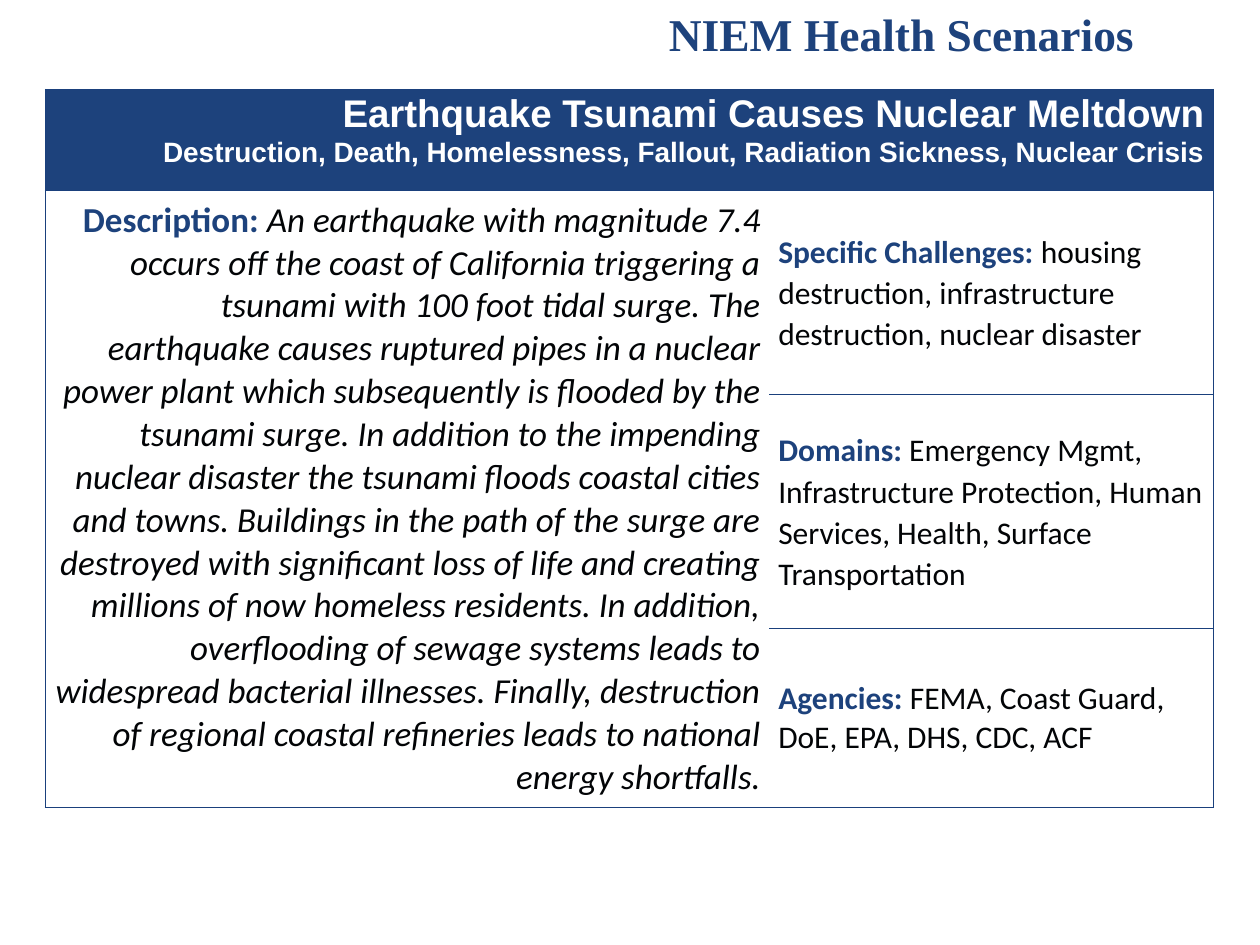
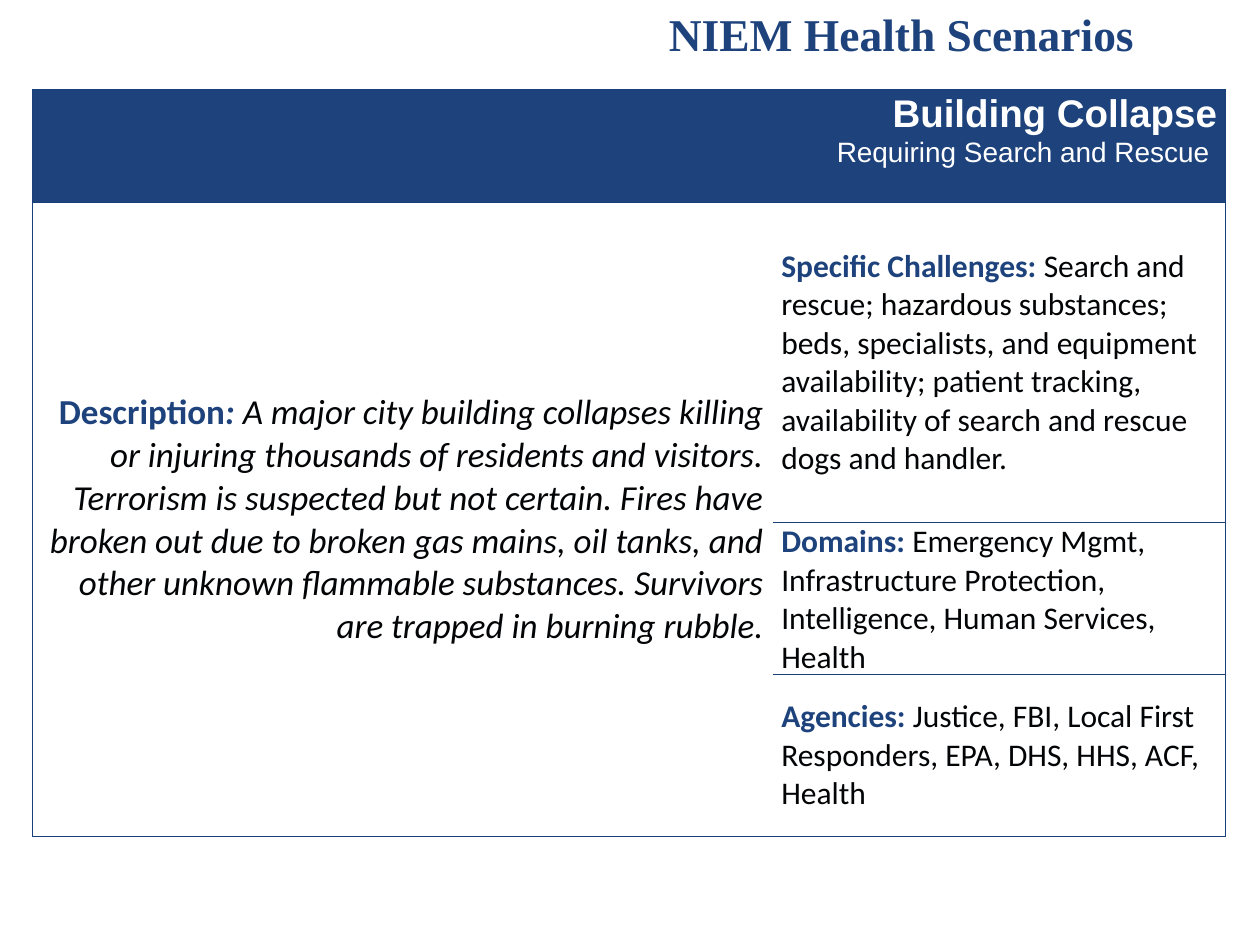
from dataclasses import dataclass
from typing import Any

from lxml import etree
from pptx import Presentation
from pptx.dml.color import RGBColor
from pptx.enum.text import MSO_ANCHOR, MSO_AUTO_SIZE, PP_ALIGN
from pptx.oxml.ns import qn
from pptx.util import Inches, Pt

LEFT, RIGHT = PP_ALIGN.LEFT, PP_ALIGN.RIGHT
TOP, MIDDLE = MSO_ANCHOR.TOP, MSO_ANCHOR.MIDDLE
FIT_SHAPE = MSO_AUTO_SIZE.SHAPE_TO_FIT_TEXT

GRID_COLUMNS, GRID_ROWS = 100, 75
UNIT = Inches(10) // GRID_COLUMNS
DESCRIPTION_SHARE = 0.62
LOOSE = 1.07


@dataclass(frozen=True)
class Theme:
    navy: str = "1D427C"
    rule: str = "1A407C"
    ink: str = "020406"
    white: str = "FFFFFF"
    title_font: str = "Times New Roman"
    header_font: str = "Arial"
    body_font: str = "Calibri"
    title_size: int = 26
    header_size: int = 22
    subheader_size: int = 16
    description_size: int = 20
    detail_size: int = 18
    rule_width: float = 0.75


THEME = Theme()


@dataclass(frozen=True)
class Span:
    text: str
    font: str
    size: int
    color: str
    bold: bool = False
    italic: bool = False


@dataclass(frozen=True)
class Detail:
    label: str
    text: str
    spacing: float = 1.0


@dataclass(frozen=True)
class Scenario:
    """Left, width and rows are counted in grid units."""
    left: float
    width: float
    rows: tuple[float, ...]
    name: str
    summary: str
    summary_bold: bool
    label: tuple[str, str]
    description: str
    details: tuple[Detail, ...]


SCENARIOS = (
    Scenario(
        3.6, 92.7, (8, 16.2, 18.6, 14.2),
        "Earthquake Tsunami Causes Nuclear Meltdown",
        "Destruction, Death, Homelessness, Fallout, Radiation Sickness, Nuclear Crisis",
        True,
        ("Description: ", ""),
        "An earthquake with magnitude 7.4 occurs off the coast of California triggering "
        "a tsunami with 100 foot tidal surge. The earthquake causes ruptured pipes in a "
        "nuclear power plant which subsequently is flooded by the tsunami surge. In "
        "addition to the impending nuclear disaster the tsunami floods coastal cities "
        "and towns. Buildings in the path of the surge are destroyed with significant "
        "loss of life and creating millions of now homeless residents. In addition, "
        "overflooding of sewage systems leads to widespread bacterial illnesses. "
        "Finally, destruction of regional coastal refineries leads to national energy "
        "shortfalls.",
        (
            Detail("Specific Challenges: ",
                   "housing destruction, infrastructure destruction, nuclear disaster", LOOSE),
            Detail("Domains: ",
                   "Emergency Mgmt, Infrastructure Protection, Human Services, Health, "
                   "Surface Transportation", LOOSE),
            Detail("Agencies: ", "FEMA, Coast Guard, DoE, EPA, DHS, CDC, ACF"),
        ),
    ),
    Scenario(
        2.6, 94.7, (9, 25.4, 12, 12.9),
        "Building Collapse",
        "Requiring Search and Rescue ",
        False,
        ("Description", ": "),
        "A major city building collapses killing or injuring thousands of residents and "
        "visitors. Terrorism is suspected but not certain. Fires have broken out due to "
        "broken gas mains, oil tanks, and other unknown flammable substances. Survivors "
        "are trapped in burning rubble.",
        (
            Detail("Specific Challenges: ",
                   "Search and rescue; hazardous substances; beds, specialists, and "
                   "equipment availability; patient tracking, availability of search and "
                   "rescue dogs and handler."),
            Detail("Domains: ",
                   "Emergency Mgmt, Infrastructure Protection, Intelligence, Human "
                   "Services, Health"),
            Detail("Agencies: ",
                   "Justice, FBI, Local First Responders, EPA, DHS, HHS, ACF, Health"),
        ),
    ),
)


def units(count: float) -> int:
    return round(count * UNIT)


def apply_format(target: Any, values: dict[str, Any]) -> None:
    for name, value in values.items():
        setattr(target, name, value)


def write_lines(para: Any, lines: list[list[Span]]) -> None:
    """Write each list of spans on its own line of one paragraph."""
    for index, line in enumerate(lines):
        if index:
            para.add_line_break()
        for span in line:
            run = para.add_run()
            run.text = span.text
            apply_format(run.font, {"name": span.font, "size": Pt(span.size),
                                    "bold": span.bold, "italic": span.italic})
            run.font.color.rgb = RGBColor.from_string(span.color)


def draw_borders(cell: Any, ruled_sides: str) -> None:
    """Rule the sides named by L, R, T and B, and clear the others."""
    properties = cell._tc.get_or_add_tcPr()
    for side in "LRTB":
        line = etree.SubElement(properties, qn(f"a:ln{side}"), w=str(Pt(THEME.rule_width)))
        if side in ruled_sides:
            fill = etree.SubElement(line, qn("a:solidFill"))
            etree.SubElement(fill, qn("a:srgbClr"), val=THEME.rule)
        else:
            etree.SubElement(line, qn("a:noFill"))


def sides_of(row: int, column: int) -> str:
    if row == 0:
        return "LRTB"
    if column == 1:
        return "RTB"
    return {1: "LTB", 2: "L", 3: "LB"}[row]


def fill_cell(cell: Any, lines: list[list[Span]], align: Any, anchor: Any,
              spacing: float = 1.0) -> None:
    apply_format(cell, {"vertical_anchor": anchor, "margin_left": units(0.7),
                        "margin_right": units(0.7), "margin_top": 0, "margin_bottom": 0})
    para = cell.text_frame.paragraphs[0]
    apply_format(para, {"alignment": align, "line_spacing": spacing})
    write_lines(para, lines)


def add_title(page: Any) -> None:
    box = page.shapes.add_textbox(units(52.1), 0, units(39.3), units(5.4))
    apply_format(box.text_frame, {"word_wrap": False, "auto_size": FIT_SHAPE})
    write_lines(box.text_frame.paragraphs[0], [[
        Span("NIEM Health Scenarios", THEME.title_font, THEME.title_size, THEME.navy, True)]])


def add_scenario_table(page: Any, scenario: Scenario) -> None:
    table = page.shapes.add_table(
        len(scenario.rows), 2, units(scenario.left), units(7.1),
        units(scenario.width), units(sum(scenario.rows))).table
    apply_format(table, {"first_row": False, "horz_banding": False})
    for column, share in zip(table.columns, (DESCRIPTION_SHARE, 1 - DESCRIPTION_SHARE)):
        column.width = units(scenario.width * share)
    for index, height in enumerate(scenario.rows):
        table.rows[index].height = units(height)
        for column in range(2):
            cell = table.cell(index, column)
            draw_borders(cell, sides_of(index, column))
            cell.fill.solid()
            cell.fill.fore_color.rgb = RGBColor.from_string(
                THEME.white if index else THEME.navy)

    header, description = table.cell(0, 0), table.cell(1, 0)
    header.merge(table.cell(0, 1))
    description.merge(table.cell(3, 0))

    fill_cell(header, [
        [Span(scenario.name, THEME.header_font, THEME.header_size, THEME.white, True)],
        [Span(scenario.summary, THEME.header_font, THEME.subheader_size, THEME.white,
              scenario.summary_bold)],
    ], RIGHT, TOP, LOOSE)

    body = (THEME.body_font, THEME.description_size)
    label, slanted_label = scenario.label
    spans = [Span(label, *body, THEME.navy, True),
             Span(slanted_label, *body, THEME.navy, True, True),
             Span(scenario.description, *body, THEME.ink, False, True)]
    fill_cell(description, [[span for span in spans if span.text]], RIGHT, MIDDLE)

    small = (THEME.body_font, THEME.detail_size)
    for row, detail in enumerate(scenario.details, start=1):
        fill_cell(table.cell(row, 1), [[
            Span(detail.label, *small, THEME.navy, True),
            Span(detail.text, *small, THEME.ink),
        ]], LEFT, MIDDLE, detail.spacing)


def main() -> None:
    deck = Presentation()
    apply_format(deck, {"slide_width": units(GRID_COLUMNS), "slide_height": units(GRID_ROWS)})
    for scenario in SCENARIOS:
        page = deck.slides.add_slide(deck.slide_layouts[6])
        add_scenario_table(page, scenario)
        add_title(page)
    deck.save("out.pptx")


if __name__ == "__main__":
    main()
